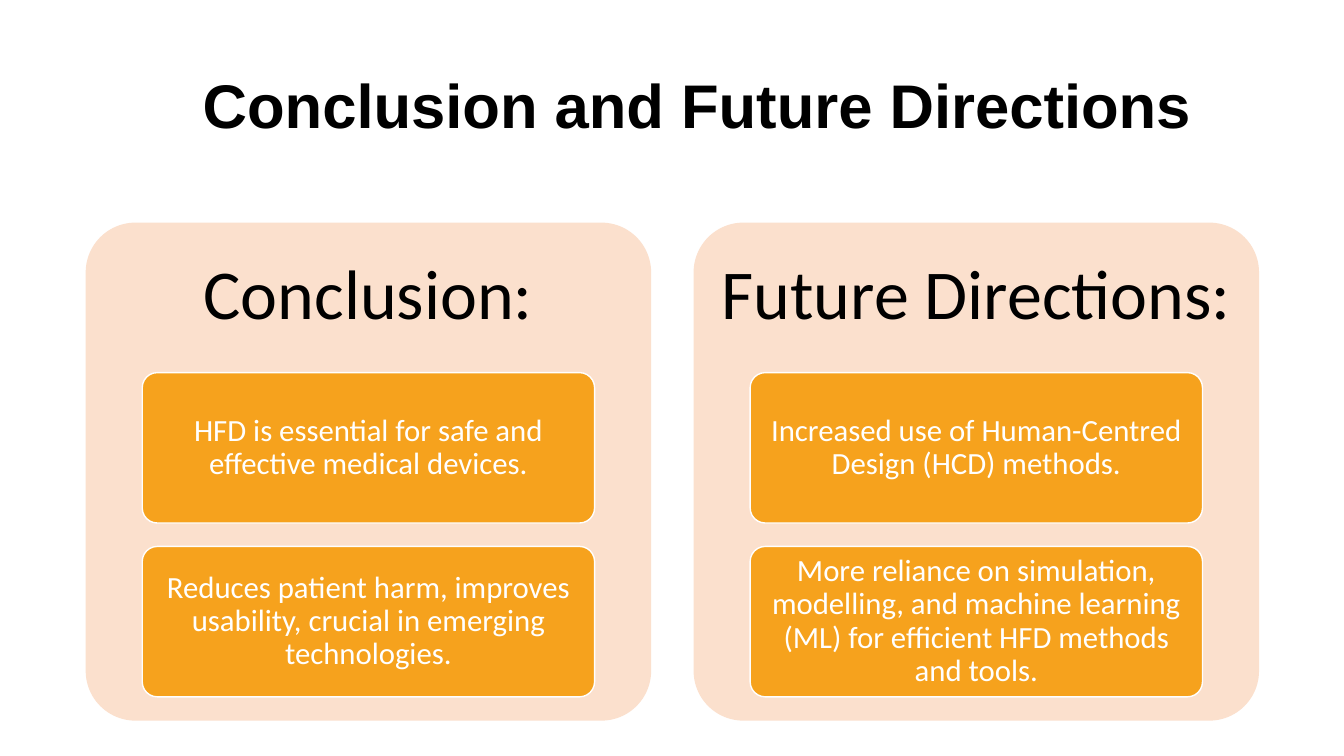
from pptx import Presentation
from pptx.dml.color import RGBColor
from pptx.enum.shapes import MSO_SHAPE as SHAPE
from pptx.enum.text import MSO_ANCHOR as ANCHOR, PP_ALIGN as ALIGN
from pptx.util import Cm, Pt

BLACK = RGBColor(0x00, 0x00, 0x00)
WHITE = RGBColor(0xFF, 0xFF, 0xFF)
PEACH = RGBColor(0xFB, 0xE0, 0xCD)
ORANGE = RGBColor(0xF6, 0xA2, 0x1D)

PANEL_LEFT, PANEL_TOP = 2.16, 5.61
PANEL_W, PANEL_H, PANEL_PITCH = 14.25, 12.55, 15.32
HEADING_H = 3.76
CARD_INDENT = PANEL_W / 10
CARD_W, CARD_H = PANEL_W * 0.8, 3.79
CARD_TOP, CARD_PITCH = 9.39, 4.38

PANELS = [
    ("Conclusion:", [
        "HFD is essential for safe and effective medical devices.",
        "Reduces patient harm, improves usability, crucial in emerging technologies.",
    ]),
    ("Future Directions:", [
        "Increased use of Human-Centred Design (HCD) methods.",
        "More reliance on simulation, modelling, and machine learning (ML) "
        "for efficient HFD methods and tools.",
    ]),
]


def set_text(sp, text, size, color, font="Calibri", bold=False,
             spacing=0.9, margin_x=0.15, margin_y=0.13):
    tf = sp.text_frame
    tf.word_wrap = True
    tf.vertical_anchor = ANCHOR.MIDDLE
    tf.margin_left = tf.margin_right = Cm(margin_x)
    tf.margin_top = tf.margin_bottom = Cm(margin_y)
    p = tf.paragraphs[0]
    p.text = text
    p.alignment = ALIGN.CENTER
    p.line_spacing = spacing
    p.font.name = font
    p.font.size = Pt(size)
    p.font.bold = bold
    p.font.color.rgb = color


def add_title(s, text):
    sp = s.shapes.title
    sp.left, sp.top, sp.width, sp.height = Cm(4.32), Cm(1.55), Cm(26.52), Cm(2.13)
    set_text(sp, text, 44, BLACK, font="Arial", bold=True, spacing=1.0,
             margin_x=0.25)


def add_round_box(s, left, top, width, height, fill):
    sp = s.shapes.add_shape(SHAPE.ROUNDED_RECTANGLE,
                            Cm(left), Cm(top), Cm(width), Cm(height))
    sp.adjustments[0] = 0.1
    sp.shadow.inherit = False
    sp.fill.solid()
    sp.fill.fore_color.rgb = fill
    sp.line.fill.background()
    return sp


def add_card(s, left, top, text):
    sp = add_round_box(s, left, top, CARD_W, CARD_H, ORANGE)
    sp.line.color.rgb = WHITE
    sp.line.width = Pt(1)
    set_text(sp, text, 22, WHITE)


def add_panel(s, left, heading, cards):
    add_round_box(s, left, PANEL_TOP, PANEL_W, PANEL_H, PEACH)
    box = s.shapes.add_textbox(Cm(left), Cm(PANEL_TOP), Cm(PANEL_W), Cm(HEADING_H))
    set_text(box, heading, 50, BLACK, margin_x=0.53, margin_y=0.53)
    for i, text in enumerate(cards):
        add_card(s, left + CARD_INDENT, CARD_TOP + i * CARD_PITCH, text)


def main():
    prs = Presentation()
    prs.slide_width, prs.slide_height = Cm(33.87), Cm(19.05)
    s = prs.slides.add_slide(prs.slide_layouts[5])
    add_title(s, "Conclusion and Future Directions")
    for i, (heading, cards) in enumerate(PANELS):
        add_panel(s, PANEL_LEFT + i * PANEL_PITCH, heading, cards)
    prs.save("out.pptx")


if __name__ == "__main__":
    main()
